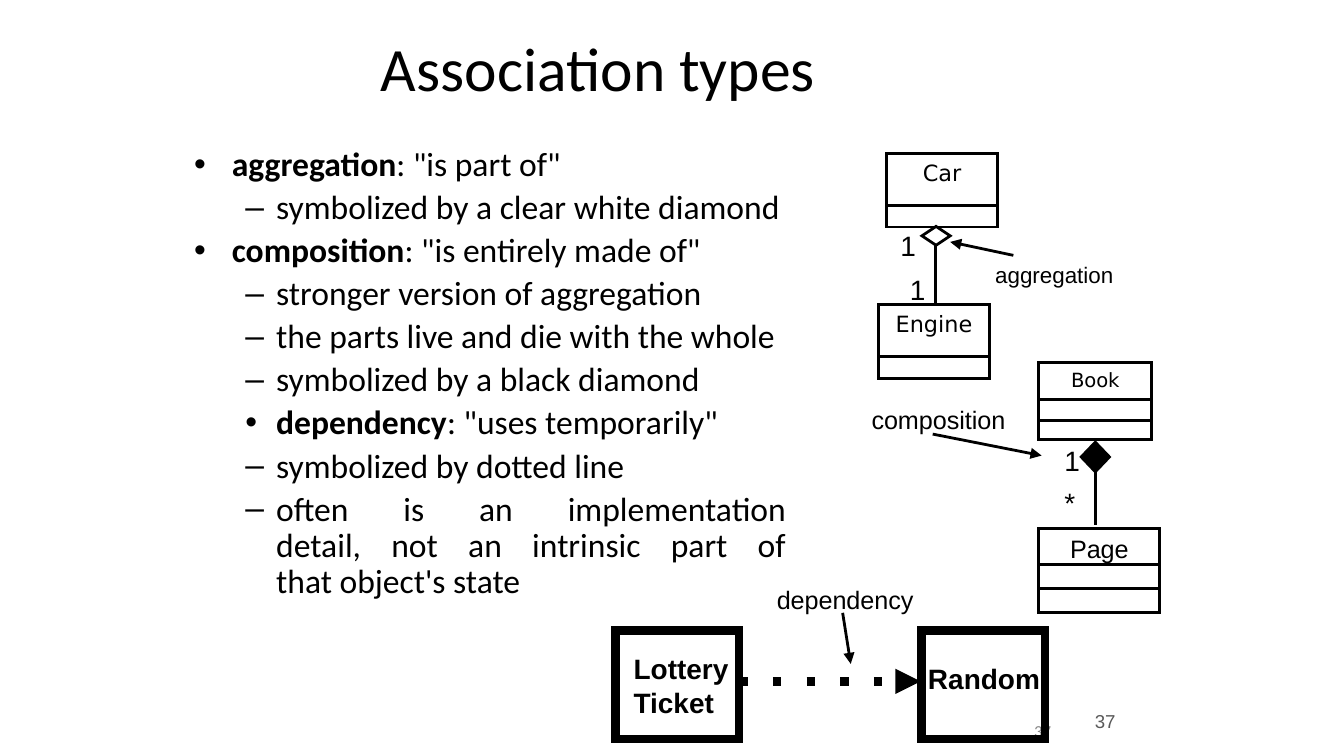
from pptx import Presentation
from pptx.dml.color import RGBColor
from pptx.enum.shapes import MSO_CONNECTOR, MSO_SHAPE
from pptx.enum.text import MSO_ANCHOR, MSO_AUTO_SIZE, PP_ALIGN
from pptx.oxml.ns import qn
from pptx.util import Inches, Pt
from lxml.etree import SubElement

COLORS = {"ink": "000000", "number": "595959", "faint": "888888"}
CELL = 0.1  # inches; the page is a grid of 100 columns by 56.25 rows
COLUMNS, ROWS = 100, 56.25


def grid(cells):
    return Inches(cells * CELL)


def color(name):
    return RGBColor.from_string(COLORS[name])


def add_text(para, text, font="Arial", size=15, ink="ink", bold=False):
    for index, line in enumerate(text.split("\n")):
        if index:
            para.add_line_break()
        span = para.add_run()
        span.text = line
        span.font.name = font
        span.font.size = Pt(size)
        span.font.bold = bold
        span.font.color.rgb = color(ink)


class SlideBuilder:
    def __init__(self, page):
        self.page = page

    def frame(self, box, anchor=MSO_ANCHOR.TOP):
        frame = box.text_frame
        frame.word_wrap = True
        frame.auto_size = MSO_AUTO_SIZE.NONE
        frame.vertical_anchor = anchor
        frame.margin_left = frame.margin_right = Inches(0.07)
        frame.margin_top = frame.margin_bottom = Inches(0.04)
        return frame

    def placeholder(self, index, left, top, width, height):
        box = self.page.placeholders[index]
        box.left, box.top = grid(left), grid(top)
        box.width, box.height = grid(width), grid(height)
        return self.frame(box)

    def title(self, text, *place):
        para = self.placeholder(0, *place).paragraphs[0]
        para.alignment = PP_ALIGN.CENTER
        add_text(para, text, font="Calibri", size=33)

    def bullets(self, items, *place):
        frame = self.placeholder(1, *place)
        for index, (level, mark, term, text) in enumerate(items):
            para = frame.add_paragraph() if index else frame.paragraphs[0]
            para.level = level
            para.alignment = PP_ALIGN.JUSTIFY
            para.line_spacing = 0.9
            para.space_before = Pt(3.6 if index else 0)
            margin, hanging = ((0.28, 0.28), (0.61, 0.23))[level]
            props = para._p.get_or_add_pPr()
            props.set("marL", str(Inches(margin)))
            props.set("indent", str(-Inches(hanging)))
            tint = SubElement(props, qn("a:buClr"))
            SubElement(tint, qn("a:srgbClr"), val=COLORS["ink"])
            SubElement(props, qn("a:buFont"), typeface="Arial")
            SubElement(props, qn("a:buChar"), char=mark)
            if term:
                add_text(para, term, font="Calibri", size=18, bold=True)
            add_text(para, text, font="Calibri", size=18)

    def label(self, text, left, top, width, height, align=PP_ALIGN.LEFT,
              anchor=MSO_ANCHOR.TOP, **style):
        box = self.page.shapes.add_textbox(
            grid(left), grid(top), grid(width), grid(height))
        para = self.frame(box, anchor).paragraphs[0]
        para.alignment = align
        add_text(para, text, **style)

    def shape(self, kind, left, top, width, height, weight=1.5, filled=False):
        box = self.page.shapes.add_shape(
            kind, grid(left), grid(top), grid(width), grid(height))
        box.shadow.inherit = False
        if filled:
            box.fill.solid()
            box.fill.fore_color.rgb = color("ink")
        else:
            box.fill.background()
        box.line.color.rgb = color("ink")
        box.line.width = Pt(weight)
        SubElement(box.line._get_or_add_ln(), qn("a:miter"), lim="800000")
        return box

    def line(self, x1, y1, x2, y2, weight=1.5, arrow=False, dotted=False):
        line = self.page.shapes.add_connector(
            MSO_CONNECTOR.STRAIGHT, grid(x1), grid(y1), grid(x2), grid(y2))
        line.line.color.rgb = color("ink")
        line.line.width = Pt(weight)
        outline = line.line._get_or_add_ln()
        if dotted:
            SubElement(outline, qn("a:prstDash"), val="dot")
        if arrow:
            SubElement(outline, qn("a:tailEnd"), type="triangle")
        SubElement(line._element.spPr, qn("a:effectLst"))

    def class_box(self, name, left, top, width, height, dividers, **style):
        box = self.shape(MSO_SHAPE.RECTANGLE, left, top, width, height)
        para = self.frame(box).paragraphs[0]
        para.alignment = PP_ALIGN.CENTER
        add_text(para, name, **style)
        for offset in dividers:
            self.line(left, top + offset, left + width, top + offset)


def main():
    deck = Presentation()
    deck.slide_width, deck.slide_height = grid(COLUMNS), grid(ROWS)
    page = deck.slides.add_slide(deck.slide_layouts[1])
    slide = SlideBuilder(page)

    # Page numbers
    slide.label("37", 66.2, 52.15, 17.5, 3, align=PP_ALIGN.RIGHT,
                anchor=MSO_ANCHOR.MIDDLE, size=10, ink="number")
    slide.label("37", 76.25, 52.5, 11.2, 3.75, anchor=MSO_ANCHOR.MIDDLE,
                font="Calibri", size=9, ink="faint")

    # Title and list
    slide.title("Association types", 12.5, 1.8, 64, 6.9)
    slide.bullets([
        (0, "•", "aggregation", ': "is part of"'),
        (1, "–", "", "symbolized by a clear white diamond"),
        (0, "•", "composition", ': "is entirely made of"'),
        (1, "–", "", "stronger version of aggregation"),
        (1, "–", "", "the parts live and die with the whole"),
        (1, "–", "", "symbolized by a black diamond"),
        (1, "•", "dependency", ': "uses temporarily"'),
        (1, "–", "", "symbolized by dotted line"),
        (1, "–", "", "often is an implementation\n"
                     "detail, not an intrinsic part of\nthat object's state"),
    ], 13.75, 10.6, 45.45, 45.6)

    # Multiplicities
    for text, left, top in (("1", 66.3, 16.6), ("1", 67, 19.9),
                            ("1", 78.5, 32.6), ("*", 78.5, 35.7)):
        slide.label(text, left, top, 2.8, 3.3)

    # Aggregation: car and engine
    for name, left, top in (("Car", 65.95, 11.4), ("Engine", 65.35, 22.65)):
        slide.class_box(name, left, top, 8.3, 5.5, [3.9],
                        font="DejaVu Sans", size=12)
    slide.line(69.6, 18.2, 69.6, 22.8)
    slide.shape(MSO_SHAPE.DIAMOND, 68.6, 16.85, 2.1, 1.4)
    slide.label("aggregation", 73.35, 19, 11.4, 2.8, size=12)
    slide.line(75.4, 19, 70.7, 18, arrow=True)

    # Dependency: lottery ticket and random
    for left in (45.8, 68.55):
        slide.shape(MSO_SHAPE.RECTANGLE, left, 46.9, 9.2, 8.1, weight=4.5)
    slide.line(55, 50.7, 68.5, 50.7, weight=4.5, arrow=True, dotted=True)
    slide.label("Lottery\nTicket", 46.45, 48.1, 9.4, 5.8, bold=True)
    slide.label("Random", 68.35, 48.8, 10.6, 3.3, bold=True)
    slide.label("dependency", 57.1, 43.1, 13.1, 3, size=13.5)
    slide.line(62.7, 45.6, 63.3, 49.4, arrow=True)

    # Composition: book and page
    slide.class_box("Page", 77.3, 39.3, 9, 6.3, [2.7, 4.5], size=13.5)
    slide.class_box("Book", 77.3, 27, 8.4, 5.7, [2.7, 4.3],
                    font="DejaVu Sans", size=10.5)
    slide.line(81.5, 35.1, 81.5, 39.1)
    slide.shape(MSO_SHAPE.DIAMOND, 80.45, 32.9, 2.1, 2.2, filled=True)
    slide.label("composition", 64.15, 29.65, 11.6, 3, size=13.5)
    slide.line(69.4, 32.3, 77.5, 33.9, arrow=True)

    deck.save("out.pptx")


if __name__ == "__main__":
    main()
